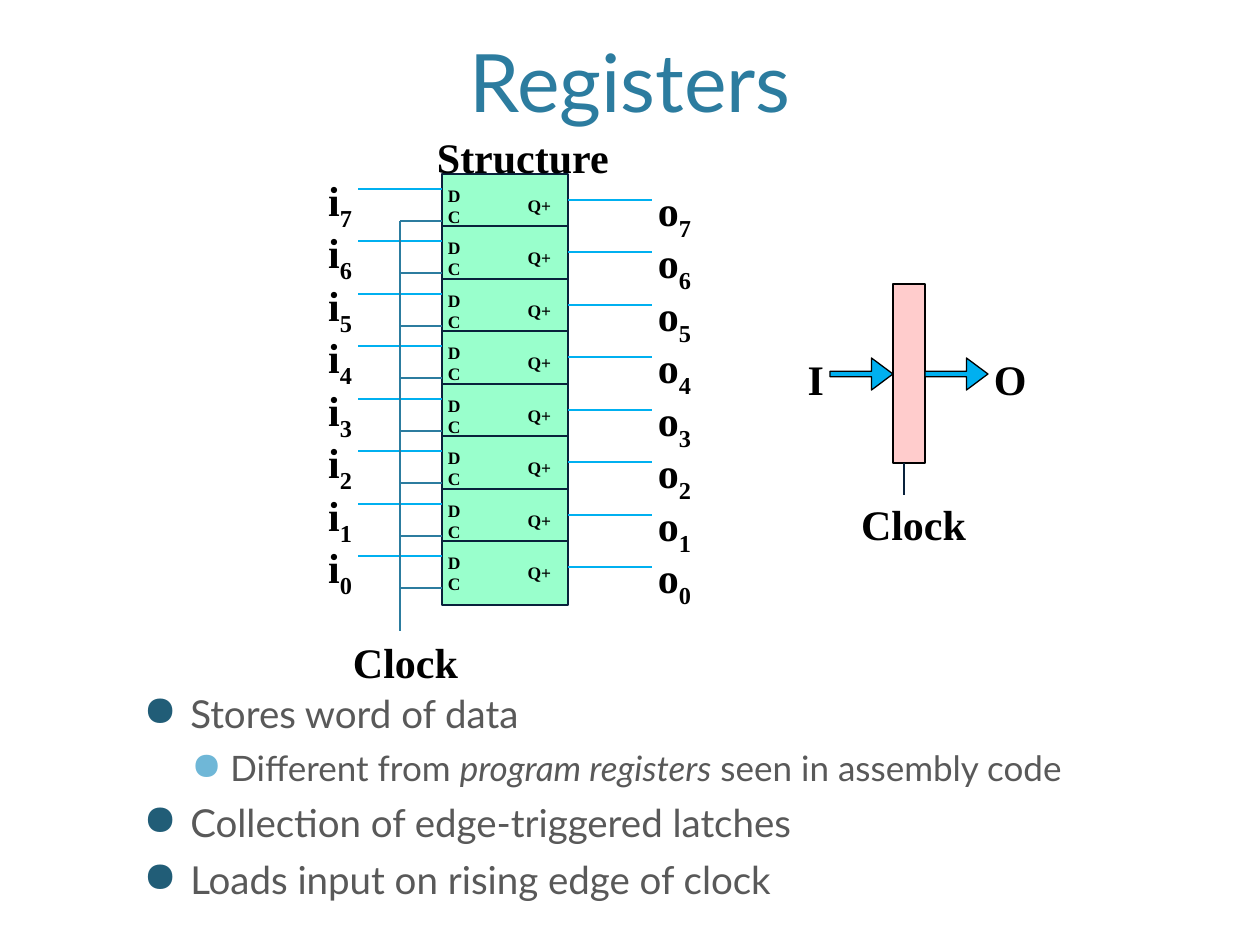
from lxml.etree import SubElement
from pptx import Presentation
from pptx.dml.color import RGBColor
from pptx.enum.shapes import MSO_CONNECTOR as Link, MSO_SHAPE as Shape
from pptx.enum.text import MSO_ANCHOR as Anchor, PP_ALIGN as Align
from pptx.oxml.ns import qn
from pptx.util import Emu, Pt

SCALE = 914400 / 126
SERIF = {"name": "Times New Roman", "bold": True, "color": "000000"}
BIG = {**SERIF, "size": Pt(24)}
SMALL = {**SERIF, "size": Pt(10)}
TITLE = {"name": "Lato", "size": Pt(46), "color": "2C7C9F"}
BODY = {"name": "Lato", "color": "595959"}
LEVELS = [
    {"size": 22, "left": 94, "hang": 47, "dot": "215D77"},
    {"size": 20, "left": 134, "hang": 39, "dot": "6FB7D7"},
]
POINTS = [
    (0, ["Stores word of data"]),
    (1, ["Different from ", "program registers", " seen in assembly code"]),
    (0, ["Collection of edge-triggered latches"]),
    (0, ["Loads input on rising edge of clock"]),
]
NAVY, BLUE, TEAL = "09213B", "00B0F0", "2C7C9F"
BITS = 8


def px(num):
    return Emu(round(num * SCALE))


def rgb(code):
    return RGBColor.from_string(code)


def style(font, form):
    for key, val in form.items():
        if key == "color":
            font.color.rgb = rgb(val)
        else:
            setattr(font, key, val)


def add_run(para, text, form):
    run = para.add_run()
    run.text = text
    style(run.font, form)
    return run


def frame(slide, box, **form):
    text = slide.shapes.add_textbox(*map(px, box)).text_frame
    text.word_wrap = True
    for key, val in form.items():
        setattr(text, key, val)
    return text


def label(slide, box, text, form, align=Align.LEFT, sub="", wrap=True):
    pads = {f"margin_{side}": px(6) for side in ("left", "top", "right", "bottom")}
    para = frame(slide, box, word_wrap=wrap, **pads).paragraphs[0]
    para.alignment = align
    add_run(para, text, form)
    if sub:
        low = add_run(para, sub, form)
        low.font._element.set("baseline", "-25000")


def block(slide, kind, box, fill, edge, width):
    shape = slide.shapes.add_shape(kind, *map(px, box))
    shape.shadow.inherit = False
    shape.fill.solid()
    shape.fill.fore_color.rgb = rgb(fill)
    shape.line.color.rgb = rgb(edge)
    shape.line.width = Pt(width)
    return shape


def wire(slide, ends, color):
    line = slide.shapes.add_connector(Link.STRAIGHT, *map(px, ends))
    line.line.color.rgb = rgb(color)
    line.line.width = Pt(1.5)
    SubElement(line._element.spPr, qn("a:effectLst"))


def bullet(para, level):
    props = para._p.get_or_add_pPr()
    props.set("marL", str(px(level["left"])))
    props.set("indent", str(-px(level["hang"])))
    color = SubElement(props, qn("a:buClr"))
    SubElement(color, qn("a:srgbClr"), val=level["dot"])
    SubElement(props, qn("a:buSzPct"), val="110000")
    SubElement(props, qn("a:buChar"), char="●")


def add_points(slide):
    text = frame(slide, (84, 684, 1144, 151))
    for num, (depth, parts) in enumerate(POINTS):
        para = text.add_paragraph() if num else text.paragraphs[0]
        level = LEVELS[depth]
        para.level = depth
        bullet(para, level)
        if num:
            para.space_before = Pt(6)
        for spot, part in enumerate(parts):
            form = {**BODY, "size": Pt(level["size"]), "italic": spot == 1}
            add_run(para, part, form)


def add_symbol(slide):
    block(slide, Shape.RECTANGLE, (893, 284, 32, 179), "FFCCCC", "000000", 0.75)
    for left in (830, 925):
        arrow = block(slide, Shape.RIGHT_ARROW, (left, 358, 63, 32), BLUE, "000000", 0.75)
        arrow.adjustments[0] = 0.17
        arrow.adjustments[1] = 0.67
    label(slide, (767, 348, 63, 64), "I", BIG, Align.RIGHT)
    label(slide, (988, 348, 63, 64), "O", BIG)
    wire(slide, (904, 463, 904, 495), NAVY)
    label(slide, (855, 493, 118, 64), "Clock", BIG, wrap=False)


def add_latch(slide, row, top):
    bit = str(BITS - 1 - row)
    wire(slide, (442, top + 15, 358, top + 15), BLUE)
    wire(slide, (652, top + 26, 568, top + 26), BLUE)
    wire(slide, (442, top + 47, 400, top + 47), TEAL)
    label(slide, (442, top + 5, 32, 34), "D", SMALL)
    label(slide, (442, top + 26, 32, 34), "C", SMALL)
    label(slide, (515, top + 15, 42, 34), "Q+", SMALL, Align.RIGHT)
    label(slide, (295, top - 5, 63, 64), "i", BIG, Align.RIGHT, bit)
    label(slide, (652, top + 5, 63, 64), "o", BIG, sub=bit)


def add_stack(slide):
    tops = [174 + row * 105 // 2 for row in range(BITS)]
    for top in tops:
        block(slide, Shape.RECTANGLE, (442, top, 126, 64), "99FFCC", NAVY, 1.5)
    for row, top in enumerate(tops):
        add_latch(slide, row, top)
    wire(slide, (400, 221, 400, 631), TEAL)
    label(slide, (347, 631, 118, 64), "Clock", BIG, wrap=False)
    label(slide, (431, 126, 186, 64), "Structure", BIG, wrap=False)


def main():
    deck = Presentation()
    deck.slide_width, deck.slide_height = px(1260), px(945)
    slide = deck.slides.add_slide(deck.slide_layouts[6])
    head = frame(slide, (76, 15, 1108, 120), vertical_anchor=Anchor.BOTTOM).paragraphs[0]
    head.alignment = Align.CENTER
    add_run(head, "Registers", TITLE)
    add_points(slide)
    add_symbol(slide)
    add_stack(slide)
    deck.save("out.pptx")


if __name__ == "__main__":
    main()
